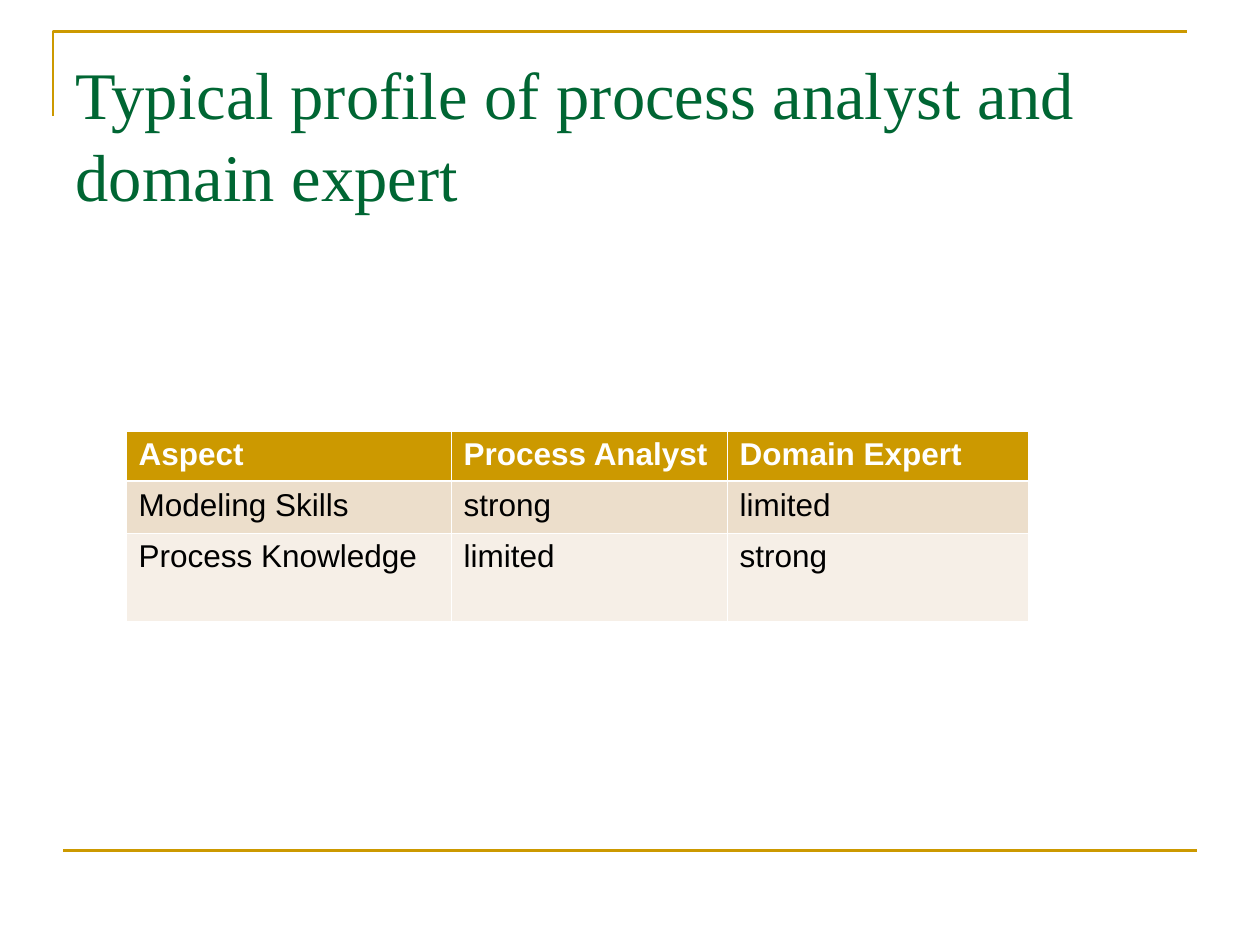
"""Build the slide comparing the profiles of process analyst and domain expert."""
from dataclasses import dataclass

from lxml import etree
from pptx import Presentation
from pptx import util as u
from pptx.dml.color import RGBColor
from pptx.enum import shapes, text
from pptx.oxml import ns

W, H = u.Inches(10), u.Inches(7.5)
GOLD = RGBColor(0xCC, 0x99, 0x00)
GREEN = RGBColor(0x00, 0x66, 0x33)
SAND = RGBColor(0xEC, 0xDE, 0xCB)
CREAM = RGBColor(0xF6, 0xEF, 0xE7)
WHITE = RGBColor(0xFF, 0xFF, 0xFF)
BLACK = RGBColor(0x00, 0x00, 0x00)
THIN, THICK = u.Pt(0.45), u.Pt(1.47)
COLUMNS = (2.58, 2.19, 2.39)


@dataclass
class Row:
    """One table row with its height in inches and its look."""
    labels: tuple[str, ...]
    height: float
    fill: RGBColor
    color: RGBColor = BLACK
    bold: bool = False
    top: int = THIN
    bottom: int = THIN


ROWS = (
    Row(("Aspect", "Process Analyst", "Domain Expert"), 0.4, GOLD, WHITE, True, bottom=THICK),
    Row(("Modeling Skills", "strong", "limited"), 0.41, SAND, top=THICK),
    Row(("Process Knowledge", "limited", "strong"), 0.7, CREAM),
)


def add_text(tf, words: str, font: str, size: float, color: RGBColor, bold: bool = False):
    """Add one formatted run to the first paragraph and return the paragraph."""
    p = tf.paragraphs[0]
    r = p.add_run()
    r.text = words
    r.font.name, r.font.size, r.font.bold = font, u.Pt(size), bold
    r.font.color.rgb = color
    return p


def add_borders(cell, top: int, bottom: int) -> None:
    """Give a cell white borders of the stated widths."""
    pr = cell._tc.get_or_add_tcPr()
    for i, (side, width) in enumerate(zip("LRTB", (THIN, THIN, top, bottom))):
        ln = etree.Element(ns.qn(f"a:ln{side}"), w=str(int(width)))
        fill = etree.SubElement(ln, ns.qn("a:solidFill"))
        etree.SubElement(fill, ns.qn("a:srgbClr"), val=str(WHITE))
        pr.insert(i, ln)


def add_frame(s) -> None:
    """Draw the gold corner above the title and the gold rule at the foot."""
    left, top = u.Inches(0.42), u.Inches(0.25)
    fb = s.shapes.build_freeform(left, top + u.Inches(0.67))
    fb.add_line_segments([(left, top), (left + int(W * 0.9), top)], close=False)
    corner = fb.convert_to_shape()
    corner.shadow.inherit = False
    corner.fill.background()
    rule = s.shapes.add_connector(
        shapes.MSO_CONNECTOR.STRAIGHT, int(W * 0.05), int(H * 0.9), int(W * 0.95), int(H * 0.9))
    etree.SubElement(rule._element.spPr, ns.qn("a:effectLst"))
    for sp in (corner, rule):
        sp.line.color.rgb, sp.line.width = GOLD, u.Pt(1.5)


def add_title(s, words: str) -> None:
    """Place and format the title placeholder."""
    sp = s.shapes.title
    sp.left, sp.top, sp.width, sp.height = int(W * 0.05), int(H * 0.04), int(W * 0.9), u.Inches(1.25)
    tf = sp.text_frame
    tf.word_wrap, tf.auto_size = True, text.MSO_AUTO_SIZE.NONE
    tf.vertical_anchor, tf.margin_top = text.MSO_ANCHOR.TOP, u.Inches(0.1)
    p = add_text(tf, words, "Times New Roman", 38, GREEN)
    p.alignment, p.line_spacing = text.PP_ALIGN.LEFT, 1.03


def add_profile_table(s, rows: tuple[Row, ...]) -> None:
    """Add the table of skills by role."""
    table = s.shapes.add_table(
        len(rows), len(COLUMNS), int(W * 0.1), u.Inches(3.42),
        u.Inches(sum(COLUMNS)), u.Inches(sum(row.height for row in rows))).table
    for column, width in zip(table.columns, COLUMNS):
        column.width = u.Inches(width)
    for i, row in enumerate(rows):
        table.rows[i].height = u.Inches(row.height)
        for j, label in enumerate(row.labels):
            cell = table.cell(i, j)
            add_borders(cell, row.top, row.bottom)
            cell.fill.solid()
            cell.fill.fore_color.rgb = row.fill
            add_text(cell.text_frame, label, "Arial", 18, row.color, row.bold)


def main() -> None:
    """Build and save the presentation."""
    prs = Presentation()
    prs.slide_width, prs.slide_height = W, H
    s = prs.slides.add_slide(prs.slide_layouts[5])
    add_frame(s)
    add_title(s, "Typical profile of process analyst and domain expert")
    add_profile_table(s, ROWS)
    prs.save("out.pptx")


if __name__ == "__main__":
    main()
